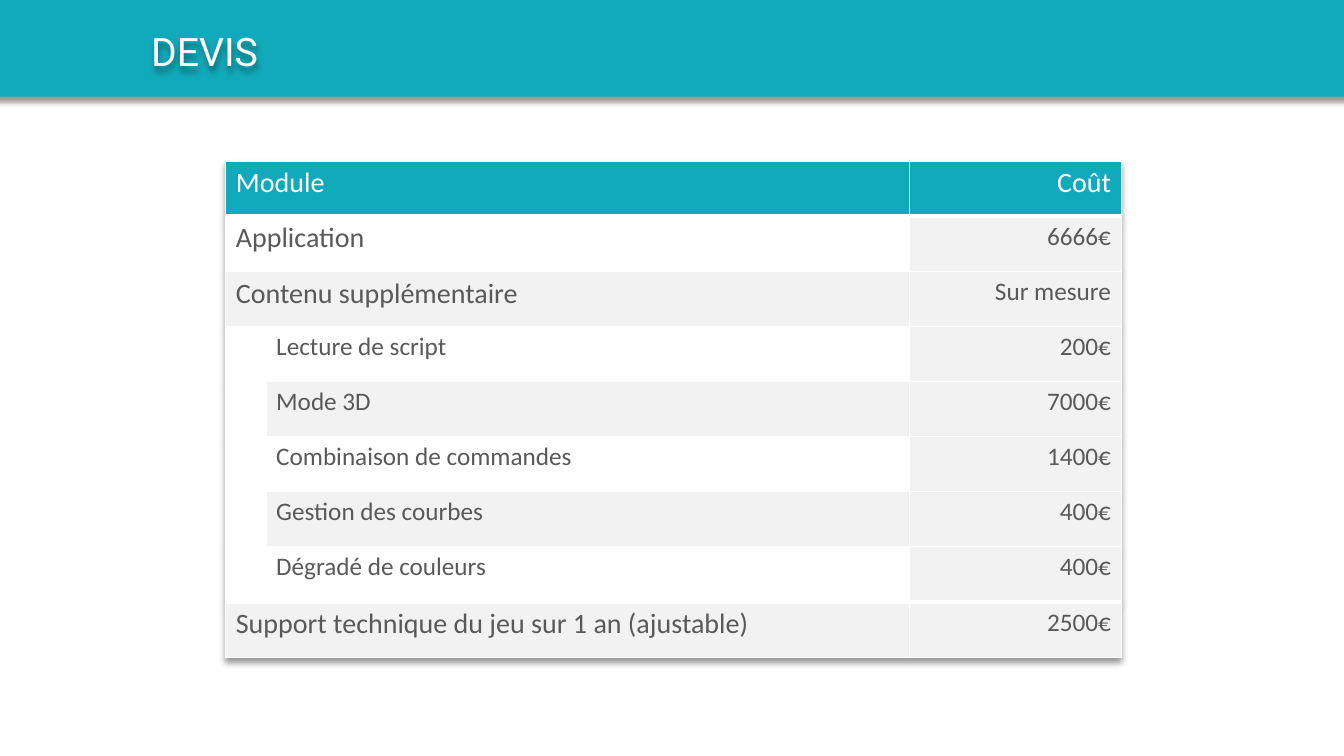
from lxml.etree import SubElement
from pptx import Presentation
from pptx.dml.color import RGBColor
from pptx.enum.shapes import MSO_SHAPE
from pptx.enum.text import MSO_ANCHOR, PP_ALIGN
from pptx.oxml import parse_xml
from pptx.oxml.ns import nsdecls, qn
from pptx.util import Inches, Pt

WIDE, HIGH = Inches(13.33), Inches(7.5)
TEAL, WHITE, GREY, INK = "11AABB", "FFFFFF", "F2F2F2", "595959"
COLS = (0.4, 6.38, 2.1)
ROW = 0.547
# Label, cost, indented under the row above
ROWS = (
    ("Module", "Coût", False),
    ("Application", "6666€", False),
    ("Contenu supplémentaire", "Sur mesure", False),
    ("Lecture de script", "200€", True),
    ("Mode 3D", "7000€", True),
    ("Combinaison de commandes", "1400€", True),
    ("Gestion des courbes", "400€", True),
    ("Dégradé de couleurs", "400€", True),
    ("Support technique du jeu sur 1 an (ajustable)", "2500€", False),
)


def assign(item, values):
    for name, value in values.items():
        setattr(item, name, value)


def paint(fill, color):
    fill.solid()
    fill.fore_color.rgb = RGBColor.from_string(color)


def place(x, y, w, h):
    """Turn shares of the slide's size into lengths."""
    return {"left": int(x * WIDE), "top": int(y * HIGH),
            "width": int(w * WIDE), "height": int(h * HIGH)}


def shade(props):
    """Cast a soft shadow straight down."""
    props.append(parse_xml(
        f'<a:effectLst {nsdecls("a")}><a:outerShdw blurRad="{Pt(4)}" '
        f'dist="{Pt(3)}" dir="5400000" algn="t" rotWithShape="0">'
        '<a:srgbClr val="000000"><a:alpha val="40000"/></a:srgbClr>'
        '</a:outerShdw></a:effectLst>'))


def write(frame, text, face, size, color, **form):
    part = frame.paragraphs[0]
    assign(part, form)
    run = part.add_run()
    run.text = text
    assign(run.font, {"name": face, "size": Pt(size), "bold": False})
    paint(run.font.fill, color)


def edge(cell, top, base):
    """Draw white borders, with top and base widths in points."""
    props = cell._tc.get_or_add_tcPr()
    sides = (("lnL", 1), ("lnR", 1), ("lnT", top), ("lnB", base))
    for spot, (side, width) in enumerate(sides):
        line = SubElement(props, qn(f"a:{side}"), w=str(Pt(width)))
        fill = SubElement(line, qn("a:solidFill"))
        SubElement(fill, qn("a:srgbClr"), val=WHITE)
        props.insert(spot, line)


def add_band(slide):
    band = slide.shapes.add_shape(MSO_SHAPE.RECTANGLE,
                                  **place(-0.017, 0, 1.03, 0.128))
    paint(band.fill, TEAL)
    band.line.fill.background()
    shade(band._element.spPr)
    # The title must stay in front of the band
    slide.shapes._spTree.insert(2, band._element)


def add_title(slide, text):
    title = slide.shapes.title
    assign(title, place(0.105, 0.037, 0.75, 0.225))
    assign(title.text_frame, {"vertical_anchor": MSO_ANCHOR.TOP,
                              "word_wrap": True})
    write(title.text_frame, text, "Roboto", 28, WHITE,
          alignment=PP_ALIGN.LEFT, line_spacing=0.9, space_before=Pt(10))
    shade(title._element.spPr)


def add_costs(slide):
    frame = slide.shapes.add_table(len(ROWS), len(COLS),
                                   **place(0.168, 0.213, 0.667, 0.656))
    table = frame.table
    assign(table, {"first_row": False, "horz_banding": False})
    props = table._tbl.tblPr
    shade(props)
    props.insert(0, props[-1])
    for col, width in zip(table.columns, COLS):
        col.width = Inches(width)

    last = len(ROWS) - 1
    for row, (label, cost, deep) in enumerate(ROWS):
        table.rows[row].height = Inches(ROW)
        head = row == 0
        ink = WHITE if head else INK
        band = TEAL if head else (WHITE if row % 2 else GREY)
        fills = (WHITE if deep else band, band, TEAL if head else GREY)
        cells = [table.cell(row, col) for col in range(len(COLS))]
        for cell, fill in zip(cells, fills):
            paint(cell.fill, fill)
            edge(cell, 3 if row in (1, last) else 1,
                 3 if row in (0, last - 1) else 1)
        if not deep:
            cells[0].merge(cells[1])
        write(cells[int(deep)].text_frame, label, "Calibri",
              18 if deep else 20, ink)
        write(cells[2].text_frame, cost, "Calibri", 20 if head else 18,
              ink, alignment=PP_ALIGN.RIGHT)


def main():
    deck = Presentation()
    assign(deck, {"slide_width": WIDE, "slide_height": HIGH})
    slide = deck.slides.add_slide(deck.slide_layouts[5])
    add_band(slide)
    add_title(slide, "DEVIS")
    add_costs(slide)
    deck.save("out.pptx")


if __name__ == "__main__":
    main()
